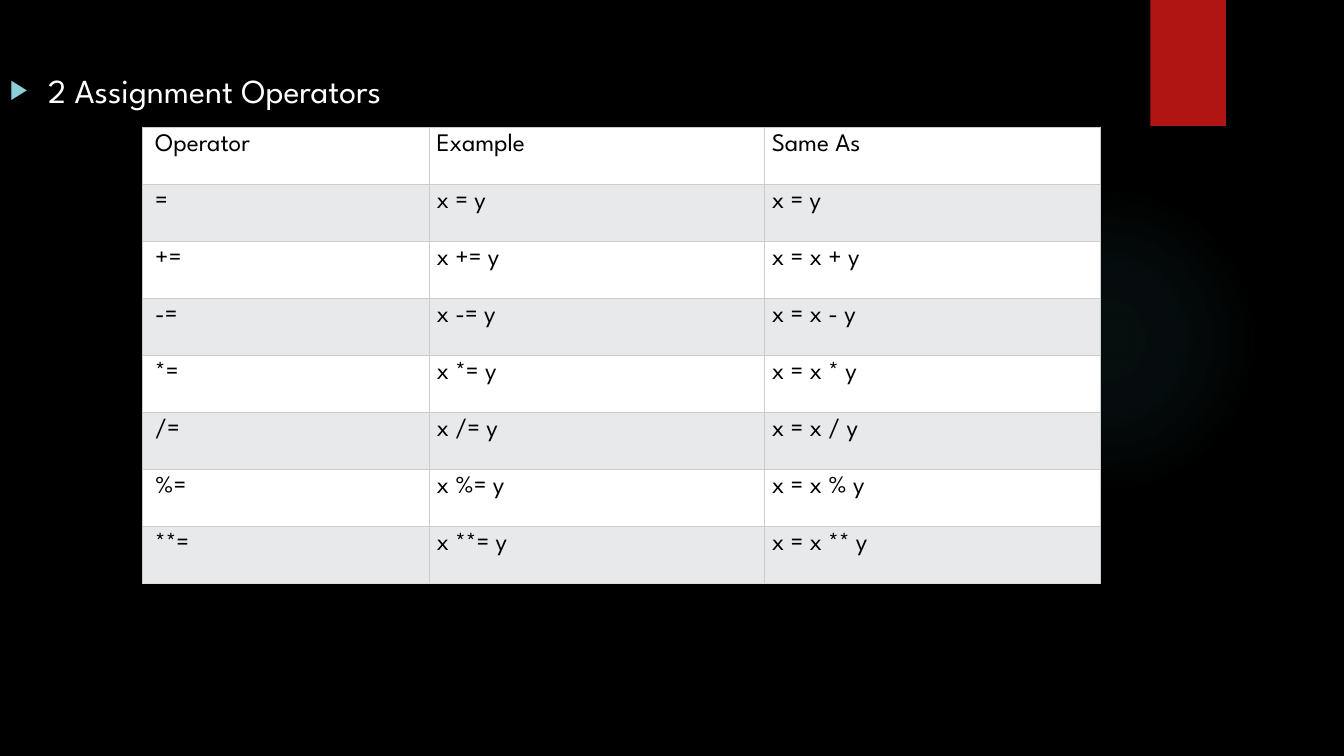
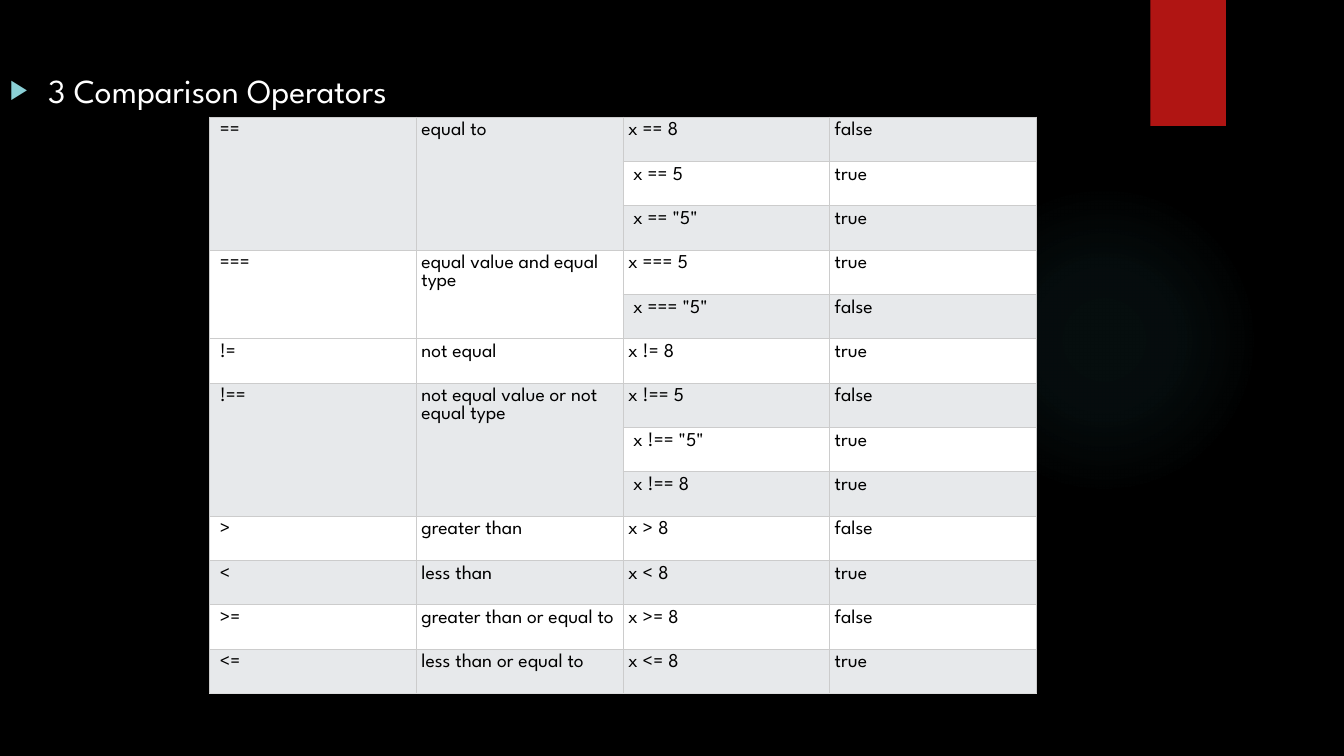
import pptx
import pptx.util
import pptx.oxml
import pptx.dml.color
import pptx.enum.shapes

# Content: None continues the cell above
SLIDES = [
    {
        "title": "2 Assignment Operators",
        "left": 1.41, "top": 1.26, "row_height": 0.566,
        "columns": [2.85, 3.325, 3.325],
        "size": 18, "inset": 0.07, "first_inset": 0.13,
        "bands": ["FFFFFF", "E7E9EB"],
        "rows": [
            ("Operator", "Example", "Same As"),
            ("=", "x = y", "x = y"),
            ("+=", "x += y", "x = x + y"),
            ("-=", "x -= y", "x = x - y"),
            ("*=", "x *= y", "x = x * y"),
            ("/=", "x /= y", "x = x / y"),
            ("%=", "x %= y", "x = x % y"),
            ("**=", "x **= y", "x = x ** y"),
        ],
    },
    {
        "title": "3 Comparison Operators",
        "left": 2.08, "top": 1.16, "row_height": 0.44,
        "columns": [2.05] * 4,
        "size": 14, "inset": 0.05, "first_inset": 0.1,
        "bands": ["E7E9EB", "FFFFFF"],
        "rows": [
            ("==", "equal to", "x == 8", "false"),
            (None, None, "x == 5", "true"),
            (None, None, 'x == "5"', "true"),
            ("===", "equal value and equal type", "x === 5", "true"),
            (None, None, 'x === "5"', "false"),
            ("!=", "not equal", "x != 8", "true"),
            ("!==", "not equal value or not equal type", "x !== 5", "false"),
            (None, None, 'x !== "5"', "true"),
            (None, None, "x !== 8", "true"),
            (">", "greater than", "x > 8", "false"),
            ("<", "less than", "x < 8", "true"),
            (">=", "greater than or equal to", "x >= 8", "false"),
            ("<=", "less than or equal to", "x <= 8", "true"),
        ],
    },
]

# Shared style
WIDTH, HEIGHT = 13.33, 7.5
FONT = "League Spartan"
BLACK, WHITE, RED = "000000", "FFFFFF", "B01513"
GLOW, BULLET = "50B9C1", "8AD0D6"
BORDER, LAST_BORDER = "CCCCCC", "DDDDDD"
GLOW_STOPS = [(0, 7), (36, 6), (69, 0)]
NAMESPACE = 'xmlns:a="http://schemas.openxmlformats.org/drawingml/2006/main"'
inches = pptx.util.Inches


def color(value):
    return pptx.dml.color.RGBColor.from_string(value)


def xml(text):
    return pptx.oxml.parse_xml(text.replace(" NS", " " + NAMESPACE, 1))


def set_values(target, values):
    for name, value in values.items():
        setattr(target, name, value)


def paint(fill, value):
    fill.solid()
    fill.fore_color.rgb = color(value)


def write(paragraph, text, size, text_color):
    run = paragraph.add_run()
    run.text = text
    set_values(run.font, {"name": FONT, "size": pptx.util.Pt(size)})
    run.font.color.rgb = color(text_color)


def add_plain_shape(slide, kind, *box):
    shape = slide.shapes.add_shape(kind, *map(inches, box))
    shape.shadow.inherit = False
    shape.line.fill.background()
    return shape


def add_decoration(slide):
    paint(slide.background.fill, BLACK)
    kinds = pptx.enum.shapes.MSO_SHAPE

    # Soft round glow
    glow = add_plain_shape(slide, kinds.OVAL, 9.41, 1.83, 3.08, 3.08)
    glow.fill.background()
    stops = "".join(
        f'<a:gs pos="{place * 1000}"><a:srgbClr val="{GLOW}">'
        f'<a:alpha val="{alpha * 1000}"/></a:srgbClr></a:gs>'
        for place, alpha in GLOW_STOPS)
    gradient = xml(
        f'<a:gradFill NS rotWithShape="1"><a:gsLst>{stops}</a:gsLst><a:path path="circle">'
        '<a:fillToRect l="50000" t="50000" r="50000" b="50000"/></a:path></a:gradFill>')
    properties = glow.element.spPr
    properties.replace(properties.find(pptx.oxml.ns.qn("a:noFill")), gradient)

    # Red tab with a soft shadow
    tab = add_plain_shape(slide, kinds.RECTANGLE, 11.41, 0, 0.75, 1.25)
    paint(tab.fill, RED)
    effects = tab.element.spPr.find(pptx.oxml.ns.qn("a:effectLst"))
    effects.append(xml(
        '<a:outerShdw NS blurRad="38100" dist="25400" dir="5400000" rotWithShape="0">'
        f'<a:srgbClr val="{BLACK}"><a:alpha val="45000"/></a:srgbClr></a:outerShdw>'))


def add_title(slide, text):
    frame = slide.shapes.add_textbox(0, 0, inches(WIDTH), inches(HEIGHT)).text_frame
    set_values(frame, {"word_wrap": True, "margin_left": inches(0.1), "margin_top": inches(0.69)})
    paragraph = frame.paragraphs[0]
    write(paragraph, text, 24, WHITE)
    properties = paragraph._p.get_or_add_pPr()
    properties.set("marL", str(inches(0.38)))
    properties.set("indent", str(-inches(0.38)))
    for part in (f'<a:buClr NS><a:srgbClr val="{BULLET}"/></a:buClr>',
                 '<a:buSzPct NS val="80000"/>',
                 '<a:buFont NS typeface="Arial"/>',
                 '<a:buChar NS char="\u25b6"/>'):
        properties.append(xml(part))


def add_borders(cell, bottom):
    properties = cell._tc.get_or_add_tcPr()
    sides = {"L": BORDER, "R": BORDER, "T": BORDER, "B": bottom}
    for index, (side, value) in enumerate(sides.items()):
        properties.insert(index, xml(
            f'<a:ln{side} NS w="7620"><a:solidFill><a:srgbClr val="{value}"/>'
            f'</a:solidFill></a:ln{side}>'))


def add_operator_table(slide, content):
    rows, columns = content["rows"], content["columns"]
    table = slide.shapes.add_table(
        len(rows), len(columns), inches(content["left"]), inches(content["top"]),
        inches(sum(columns)), inches(content["row_height"] * len(rows))).table
    set_values(table, {"first_row": False, "horz_banding": False})
    for column, width in zip(table.columns, columns):
        column.width = inches(width)
    for row in table.rows:
        row.height = inches(content["row_height"])

    inset = inches(content["inset"])
    for row_index, values in enumerate(rows):
        first = next(i for i, value in enumerate(values) if value is not None)
        last_row = row_index == len(rows) - 1
        for column_index, value in enumerate(values):
            cell = table.cell(row_index, column_index)
            left = content["first_inset"] if column_index == first else content["inset"]
            set_values(cell, {"margin_left": inches(left), "margin_top": inset,
                              "margin_right": inset, "margin_bottom": inset})
            paint(cell.fill, content["bands"][row_index % 2])
            add_borders(cell, LAST_BORDER if last_row else BORDER)
            if value is not None:
                write(cell.text_frame.paragraphs[0], value, content["size"], BLACK)

    # Join each cell with the continued ones below it
    for column_index in range(len(columns)):
        starts = [i for i, values in enumerate(rows) if values[column_index] is not None]
        for start, end in zip(starts, starts[1:] + [len(rows)]):
            if end - start > 1:
                table.cell(start, column_index).merge(table.cell(end - 1, column_index))


# Build the slides
presentation = pptx.Presentation()
set_values(presentation, {"slide_width": inches(WIDTH), "slide_height": inches(HEIGHT)})
for content in SLIDES:
    slide = presentation.slides.add_slide(presentation.slide_layouts[6])
    add_decoration(slide)
    add_title(slide, content["title"])
    add_operator_table(slide, content)
presentation.save("out.pptx")
